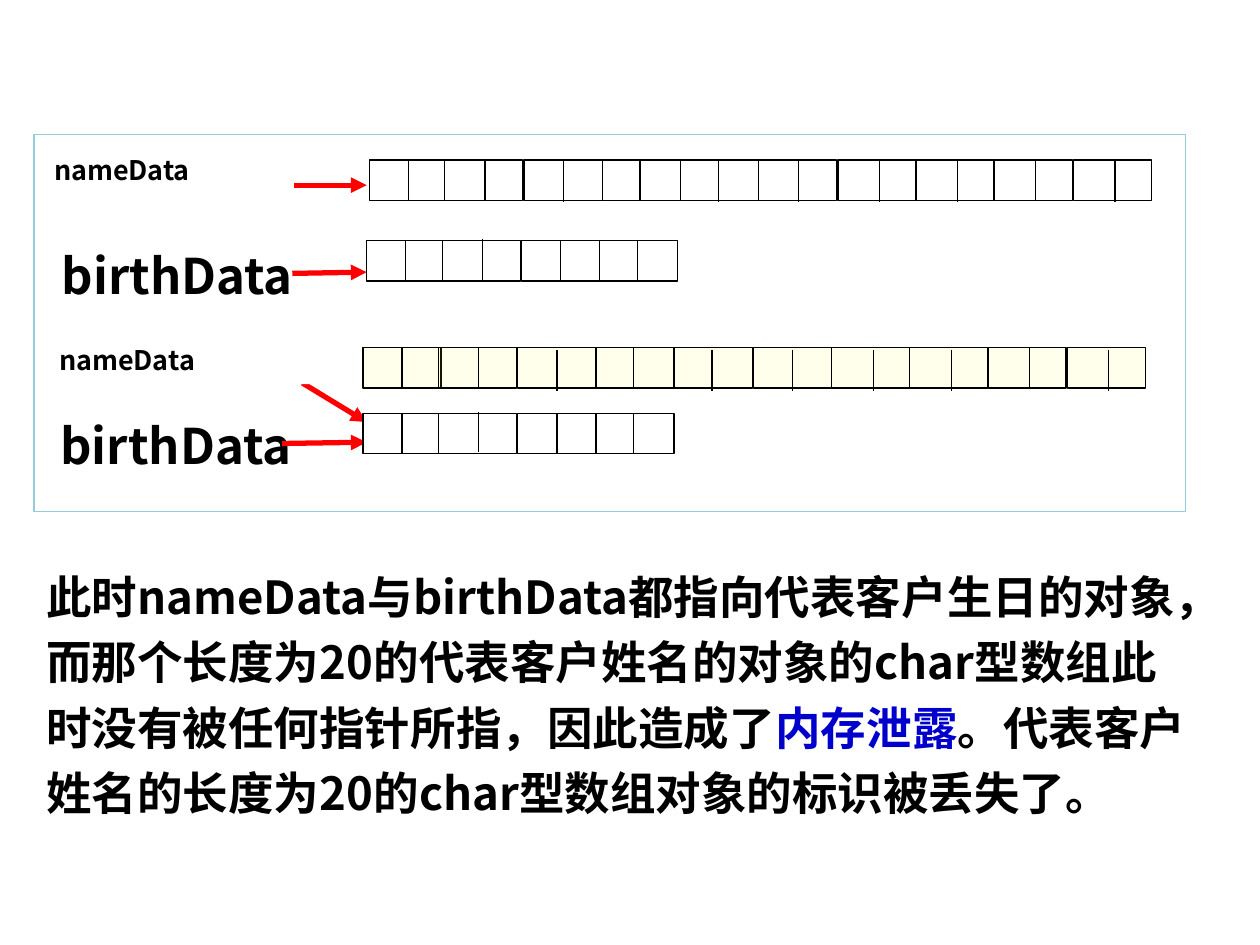
import pptx
import pptx.dml.color
import pptx.enum.shapes
import pptx.enum.text
import pptx.oxml
import pptx.oxml.ns
import pptx.util
from lxml import etree

RGB = pptx.dml.color.RGBColor
BLACK = RGB(0x00, 0x00, 0x00)
WHITE = RGB(0xFF, 0xFF, 0xFF)
RED = RGB(0xFF, 0x00, 0x00)
YELLOW = RGB(0xFF, 0xFF, 0x00)
BLUE = RGB(0x00, 0x00, 0xCC)
TEAL = RGB(0x92, 0xCD, 0xDC)

FONT = "Noto Sans CJK SC"
PX = 9144  # EMU in one px, with 100 px to the inch

FRAME = (27, 107, 914, 299)
CELL_WIDTH, CELL_HEIGHT, CELL_PITCH = 62, 32, 62.3
DIVIDERS = (31, 92, 154, 215, 277, 341, 405, 467, 529, 592)
LOWERED = (0, 0, 1, 0, 1, 1, 1, 1, 0, 1)
RAISED = (0, -1, 0, 0)

# left, top, cell fill, fill opacity in percent, vertical shift of each divider
ROWS_BEFORE = [
    (293, 127, WHITE, 100, LOWERED),
    (291, 191, WHITE, 100, RAISED),
]
ROWS_AFTER = [
    (288, 276, YELLOW, 8, [2 * shift for shift in LOWERED]),
    (288, 328, WHITE, 100, RAISED),
]

# text, place, size in points, line spacing
NAME_BEFORE = ("nameData", (43, 127, 213, 28), 15.4, 0.8)
BIRTH_BEFORE = ("birthData", (49, 195, 206, 61), 28, 1)
NAME_AFTER = ("nameData", (47, 278, 208, 27), 15.4, 0.8)
BIRTH_AFTER = ("birthData", (48, 330, 208, 53), 28, 1)

POINTERS = [
    (233, 147, 291, 147),
    (232, 217, 291, 216),
    (224, 352, 291, 351),
    (240, 304, 291, 335),
]

EXPLANATION_PLACE = (27, 438, 937, 218)
EXPLANATION = [
    ("此时nameData与birthData都指向代表客户生日的对象，而那个长度为20的代表客户姓名的"
     "对象的char型数组此时没有被任何指针所指，因此造成了", BLACK),
    ("内存泄露", BLUE),
    ("。代表客户姓名的长度为20的char型数组对象的标识被丢失了。", BLACK),
]


def emu(lengths):
    return [round(length * PX) for length in lengths]


def add_rectangle(page, place, fill=None, line=None, opacity=100):
    box = page.shapes.add_shape(pptx.enum.shapes.MSO_SHAPE.RECTANGLE, *emu(place))
    box.shadow.inherit = False
    if fill is None:
        box.fill.background()
    else:
        box.fill.solid()
        box.fill.fore_color.rgb = fill
    if opacity < 100:
        color = box.fill._xPr.find(".//" + pptx.oxml.ns.qn("a:srgbClr"))
        etree.SubElement(color, pptx.oxml.ns.qn("a:alpha"), val=str(opacity * 1000))
    if line is None:
        box.line.fill.background()
    else:
        box.line.color.rgb = line
        box.line.width = pptx.util.Pt(0.75)
    return box


def add_line(page, ends, color, width, arrow=False):
    line = page.shapes.add_connector(
        pptx.enum.shapes.MSO_CONNECTOR.STRAIGHT, *emu(ends))
    line.line.color.rgb = color
    line.line.width = pptx.util.Pt(width)
    if arrow:
        outline = line.line._get_or_add_ln()
        etree.SubElement(outline, pptx.oxml.ns.qn("a:tailEnd"), type="triangle")
    etree.SubElement(line._element.spPr, pptx.oxml.ns.qn("a:effectLst"))


def write(box, spans, size, spacing, margins=(0, 0)):
    """Fill the box with one left-aligned paragraph of (text, color) spans."""
    frame = box.text_frame
    frame.word_wrap = True
    frame.vertical_anchor = pptx.enum.text.MSO_ANCHOR.TOP
    frame.margin_left = frame.margin_right = margins[0] * PX
    frame.margin_top = frame.margin_bottom = margins[1] * PX
    para = frame.paragraphs[0]
    para.alignment = pptx.enum.text.PP_ALIGN.LEFT
    para.line_spacing = spacing
    for text, color in spans:
        span = para.add_run()
        span.text = text
        span.font.size = pptx.util.Pt(size)
        span.font.bold = True
        span.font.color.rgb = color
        span.font.name = FONT
        etree.SubElement(span.font._element, pptx.oxml.ns.qn("a:ea"), typeface=FONT)


def add_array(page, left, top, fill, opacity, shifts):
    """Draw wide cells, each halved by a divider line."""
    for index in range(len(shifts)):
        cell_left = left if index == 0 else round(left - 2 + CELL_PITCH * index)
        add_rectangle(page, (cell_left, top, CELL_WIDTH, CELL_HEIGHT),
                      fill, BLACK, opacity)
    for offset, shift in zip(DIVIDERS, shifts):
        x, y = left + offset, top + shift
        add_line(page, (x, y, x, y + CELL_HEIGHT), BLACK, 0.75)


def add_label(page, text, place, size, spacing):
    write(add_rectangle(page, place, WHITE), [(text, BLACK)], size, spacing)


def main():
    deck = pptx.Presentation()
    deck.slide_width, deck.slide_height = emu((1000, 750))
    page = deck.slides.add_slide(deck.slide_layouts[6])

    add_rectangle(page, FRAME, line=TEAL)
    for row in ROWS_BEFORE:
        add_array(page, *row)
    for label in (NAME_BEFORE, BIRTH_BEFORE, BIRTH_AFTER):
        add_label(page, *label)
    for ends in POINTERS:
        add_line(page, ends, RED, 3, arrow=True)
    # The last label and rows cover the ends of the pointers.
    add_label(page, *NAME_AFTER)
    for row in ROWS_AFTER:
        add_array(page, *row)

    box = page.shapes.add_textbox(*emu(EXPLANATION_PLACE))
    write(box, EXPLANATION, 26, 1.2, margins=(10, 5))
    box.text_frame.auto_size = pptx.enum.text.MSO_AUTO_SIZE.SHAPE_TO_FIT_TEXT

    deck.save("out.pptx")


if __name__ == "__main__":
    main()
